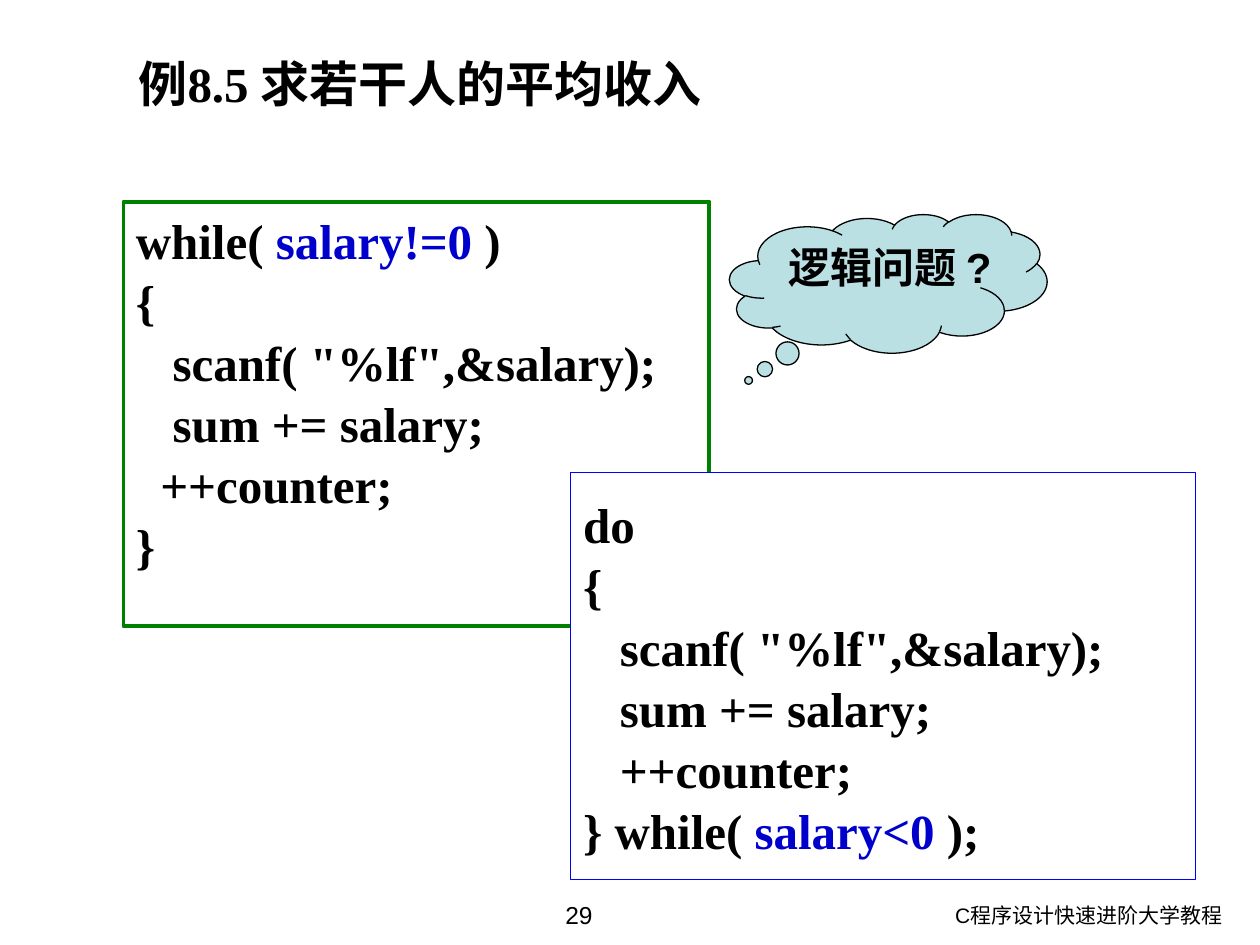
from pptx import Presentation
from pptx import util as u
from pptx.dml.color import RGBColor
from pptx.enum import shapes, text

COLORS = {"ink": "000000", "condition": "0000CC", "while_edge": "008000",
          "do_edge": "0000FF", "cloud": "BBE0E3", "paper": "FFFFFF"}
SERIF, SANS = "Times New Roman", "Arial"
LEFT, CENTER, RIGHT = text.PP_ALIGN.LEFT, text.PP_ALIGN.CENTER, text.PP_ALIGN.RIGHT
TOP, MIDDLE = text.MSO_ANCHOR.TOP, text.MSO_ANCHOR.MIDDLE

TITLE = "例8.5 求若干人的平均收入"
QUESTION = "逻辑问题 ?"
# Each code line is a tuple of spans; every second span is a loop condition.
WHILE_CODE = [("while( ", "salary!=0", " )"), ("{",),
              ('   scanf( "%lf",&salary);',), ("   sum += salary;",),
              ("  ++counter;",), ("}",)]
DO_CODE = [("do",), ("{",), ('   scanf( "%lf",&salary);',),
           ("   sum += salary;",), ("   ++counter;",),
           ("} while( ", "salary<0", " );")]
CODE_BOXES = [  # code, place, edge colour, edge width, anchor
    (WHILE_CODE, (0.98, 1.6, 4.65, 3.37), "while_edge", 2.25, TOP),
    (DO_CODE, (4.53, 3.75, 4.96, 3.23), "do_edge", 0.75, MIDDLE),
]
FOOTERS = [("C程序设计快速进阶大学教程", (6.57, 7.11, 3.23, 0.39), 12, RIGHT),
           ("29", (3.43, 7.09, 2.33, 0.41), 14, CENTER)]


def color(name):
    return RGBColor.from_string(COLORS[name])


def inches(place):
    return [u.Inches(length) for length in place]


def write(shape, lines, size, font, bold=True, align=LEFT, anchor=TOP, spacing=None):
    """Fill a shape with lines of spans, colouring every second span."""
    frame = shape.text_frame
    frame.word_wrap = True
    frame.vertical_anchor = anchor
    for index, spans in enumerate(lines):
        para = frame.add_paragraph() if index else frame.paragraphs[0]
        para.alignment = align
        if spacing:
            para.line_spacing = spacing
        for position, words in enumerate(spans):
            span = para.add_run()
            span.text = words
            span.font.size = u.Pt(size)
            span.font.name = font
            span.font.bold = bold
            span.font.color.rgb = color("condition" if position % 2 else "ink")


def add_outlined(slide, kind, place, fill, edge, width):
    shape = slide.shapes.add_shape(kind, *inches(place))
    shape.shadow.inherit = False
    shape.fill.solid()
    shape.fill.fore_color.rgb = color(fill)
    shape.line.color.rgb = color(edge)
    shape.line.width = u.Pt(width)
    return shape


def main():
    deck = Presentation()
    deck.slide_width, deck.slide_height = u.Inches(10), u.Inches(7.5)
    page = deck.slides.add_slide(deck.slide_layouts[5])

    title = page.shapes.title
    title.left, title.top, title.width, title.height = inches((1, 0.36, 9, 0.6))
    write(title, [(TITLE,)], 28, SERIF, anchor=MIDDLE)

    for words, place, size, align in FOOTERS:
        footer = page.shapes.add_textbox(*inches(place))
        write(footer, [(words,)], size, SANS, bold=False, align=align)

    for code, place, edge, width, anchor in CODE_BOXES:
        box = add_outlined(page, shapes.MSO_SHAPE.RECTANGLE, place, "paper", edge, width)
        write(box, code, 28, SERIF, anchor=anchor, spacing=1.04)

    cloud = add_outlined(page, shapes.MSO_SHAPE.CLOUD_CALLOUT,
                         (5.79, 1.7, 2.52, 1.1), "cloud", "ink", 0.75)
    cloud.adjustments[0], cloud.adjustments[1] = -0.44, 0.7
    write(cloud, [(QUESTION,)], 24, SANS, align=CENTER)

    deck.save("out.pptx")


if __name__ == "__main__":
    main()
